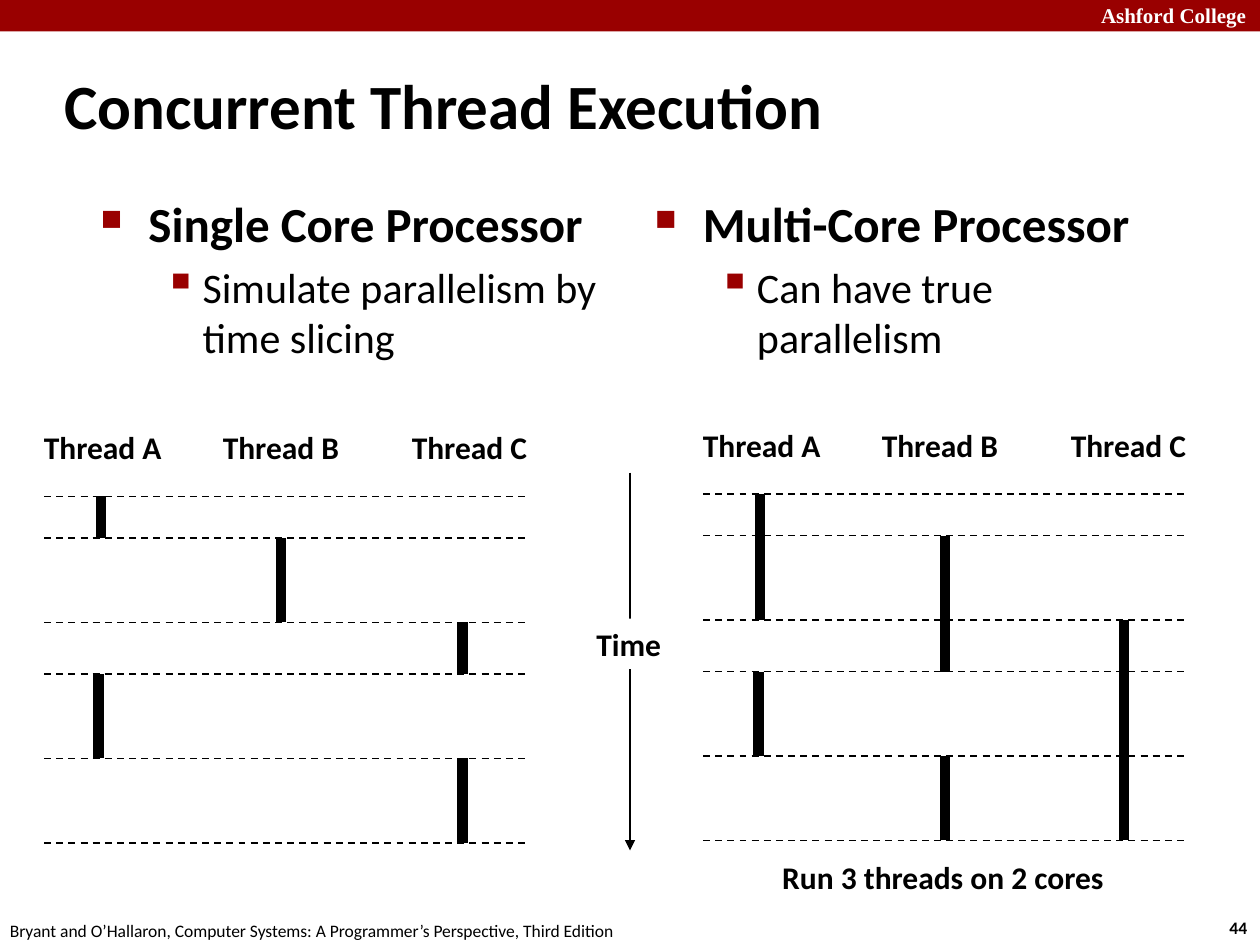
"""Build a slide that compares thread execution on one core and on several."""
from dataclasses import dataclass

from lxml.etree import SubElement as Sub
from pptx import Presentation
from pptx.dml.color import RGBColor
from pptx.enum.dml import MSO_LINE_DASH_STYLE as Dash
from pptx.enum.shapes import MSO_CONNECTOR as Conn, MSO_SHAPE as Kind
from pptx.enum.text import MSO_ANCHOR as Anchor, MSO_AUTO_SIZE as Fit, PP_ALIGN as Align
from pptx.oxml.ns import qn
from pptx.util import Inches, Pt

RED, BLACK, WHITE = "990000", "000000", "FFFFFF"
STEPS = (0, 0.33, 1, 1.41, 2.08, 2.75)
HEADS = (("Thread A", 0.25, 1.16), ("Thread B", 1.67, 1.14), ("Thread C", 3.17, 1.13))


@dataclass
class Bar:
    x: float
    start: int
    end: int


@dataclass
class Chart:
    left: float
    top: float
    bars: tuple[Bar, ...]


@dataclass
class Level:
    size: int
    mark: str
    scale: int
    margin: float
    hang: float


@dataclass
class Note:
    text: str
    box: tuple[float, float, float, float]
    size: int = 18
    bold: bool = True
    font: str = "Calibri"
    color: str = BLACK
    wrap: bool = False


LEVELS = (Level(28, "■", 60, 0.38, 0.38), Level(24, "▪", 110, 0.81, 0.31))
CHARTS = (
    Chart(0, 3.94, (Bar(0.8, 0, 1), Bar(2.23, 1, 2), Bar(3.67, 2, 3),
                    Bar(0.78, 3, 4), Bar(3.67, 4, 5))),
    Chart(5.23, 3.92, (Bar(0.8, 0, 2), Bar(2.27, 1, 3), Bar(3.69, 2, 5),
                       Bar(0.79, 3, 4), Bar(2.27, 4, 5))),
)
BODIES = (
    (0.7, ("Single Core Processor", "Simulate parallelism by time slicing")),
    (5.1, ("Multi-Core Processor", "Can have true parallelism")),
)
NOTES = (
    Note("Ashford College", (8.64, -0.03, 1.43, 0.3), 12, font="Times New Roman",
         color=WHITE, wrap=True),
    Note("44", (9.66, 7.23, 0.37, 0.27), 10),
    Note("Bryant and O’Hallaron, Computer Systems: A Programmer’s Perspective, Third Edition",
         (-0.02, 7.25, 5.08, 0.27), 10, bold=False),
    Note("Run 3 threads on 2 cores", (6.11, 6.76, 2.78, 0.4)),
)


def rgb(code: str) -> RGBColor:
    """Turn a hex string into a colour."""
    return RGBColor.from_string(code)


def put(item, **vals) -> None:
    """Set attributes from a dict of values."""
    for key, val in vals.items():
        setattr(item, key, val)


def style(font, size: int, bold: bool = True, name: str = "Calibri", color: str = BLACK) -> None:
    """Format a font."""
    put(font, size=Pt(size), bold=bold, name=name)
    font.color.rgb = rgb(color)


def write(shape, note: Note, align=Align.LEFT) -> None:
    """Fill a shape with the words of a note."""
    frame = shape.text_frame
    put(frame, word_wrap=note.wrap, auto_size=Fit.SHAPE_TO_FIT_TEXT, vertical_anchor=Anchor.TOP)
    para = frame.paragraphs[0]
    para.alignment = align
    run = para.add_run()
    run.text = note.text
    style(run.font, note.size, note.bold, note.font, note.color)


def label(slide, note: Note) -> None:
    """Add a text box for a note."""
    write(slide.shapes.add_textbox(*map(Inches, note.box)), note)


def block(slide, box: tuple, fill: str):
    """Add a plain filled rectangle."""
    shape = slide.shapes.add_shape(Kind.RECTANGLE, *map(Inches, box))
    shape.shadow.inherit = False
    shape.fill.solid()
    shape.fill.fore_color.rgb = rgb(fill)
    shape.line.fill.background()
    return shape


def stroke(slide, ends: tuple, width: float = 1, dash=None, arrow: bool = False) -> None:
    """Add a straight black line."""
    line = slide.shapes.add_connector(Conn.STRAIGHT, *map(Inches, ends))
    put(line.line, width=Pt(width), dash_style=dash)
    line.line.fill.solid()
    line.line.fill.fore_color.rgb = rgb(BLACK)
    if arrow:
        Sub(line.line._get_or_add_ln(), qn("a:tailEnd"), type="triangle")
    Sub(line._element.spPr, qn("a:effectLst"))


def bullet(para, level: Level) -> None:
    """Give a paragraph its indent and red square."""
    props = para._p.get_or_add_pPr()
    props.set("marL", str(Inches(level.margin)))
    props.set("indent", str(-Inches(level.hang)))
    Sub(Sub(props, qn("a:buClr")), qn("a:srgbClr"), val=RED)
    Sub(props, qn("a:buSzPct"), val=str(level.scale * 1000))
    Sub(props, qn("a:buChar"), char=level.mark)


def body(slide, left: float, lines: tuple[str, ...]) -> None:
    """Add a bulleted column, one line per level."""
    frame = slide.shapes.add_textbox(*map(Inches, (left, 1.49, 4.23, 5.44))).text_frame
    frame.word_wrap = True
    for rank, (text, level) in enumerate(zip(lines, LEVELS)):
        para = frame.add_paragraph() if rank else frame.paragraphs[0]
        put(para, level=rank, space_before=Pt(level.size * 0.2))
        bullet(para, level)
        run = para.add_run()
        run.text = text
        style(run.font, level.size, rank == 0)


def draw(slide, chart: Chart) -> None:
    """Draw the heads, run bars and time steps of one chart."""
    for text, x, width in HEADS:
        label(slide, Note(text, (chart.left + x, chart.top - 0.59, width, 0.4)))
    rows = [chart.top + step for step in STEPS]
    for bar in chart.bars:
        x = chart.left + bar.x
        stroke(slide, (x, rows[bar.start], x, rows[bar.end]), 6)
    for y in rows:
        stroke(slide, (chart.left + 0.35, y, chart.left + 4.17, y), dash=Dash.DASH)


def main() -> None:
    """Build and save the slide."""
    deck = Presentation()
    put(deck, slide_width=Inches(10), slide_height=Inches(7.5))
    slide = deck.slides.add_slide(deck.slide_layouts[5])
    block(slide, (0, 0, 10, 0.25), RED)

    title = slide.shapes.title
    put(title, left=Inches(0.41), top=Inches(0.41), width=Inches(8.3), height=Inches(0.83))
    title.text = "Concurrent Thread Execution"
    put(title.text_frame, vertical_anchor=Anchor.MIDDLE, auto_size=Fit.NONE)
    para = title.text_frame.paragraphs[0]
    para.alignment = Align.LEFT
    style(para.runs[0].font, 36)

    for left, lines in BODIES:
        body(slide, left, lines)
    stroke(slide, (5, 3.75, 5, 6.75), arrow=True)
    time = Note("Time", (4.63, 4.91, 0.72, 0.4))
    write(block(slide, time.box, WHITE), time, Align.CENTER)
    for chart in CHARTS:
        draw(slide, chart)
    for note in NOTES:
        label(slide, note)
    deck.save("out.pptx")


if __name__ == "__main__":
    main()
